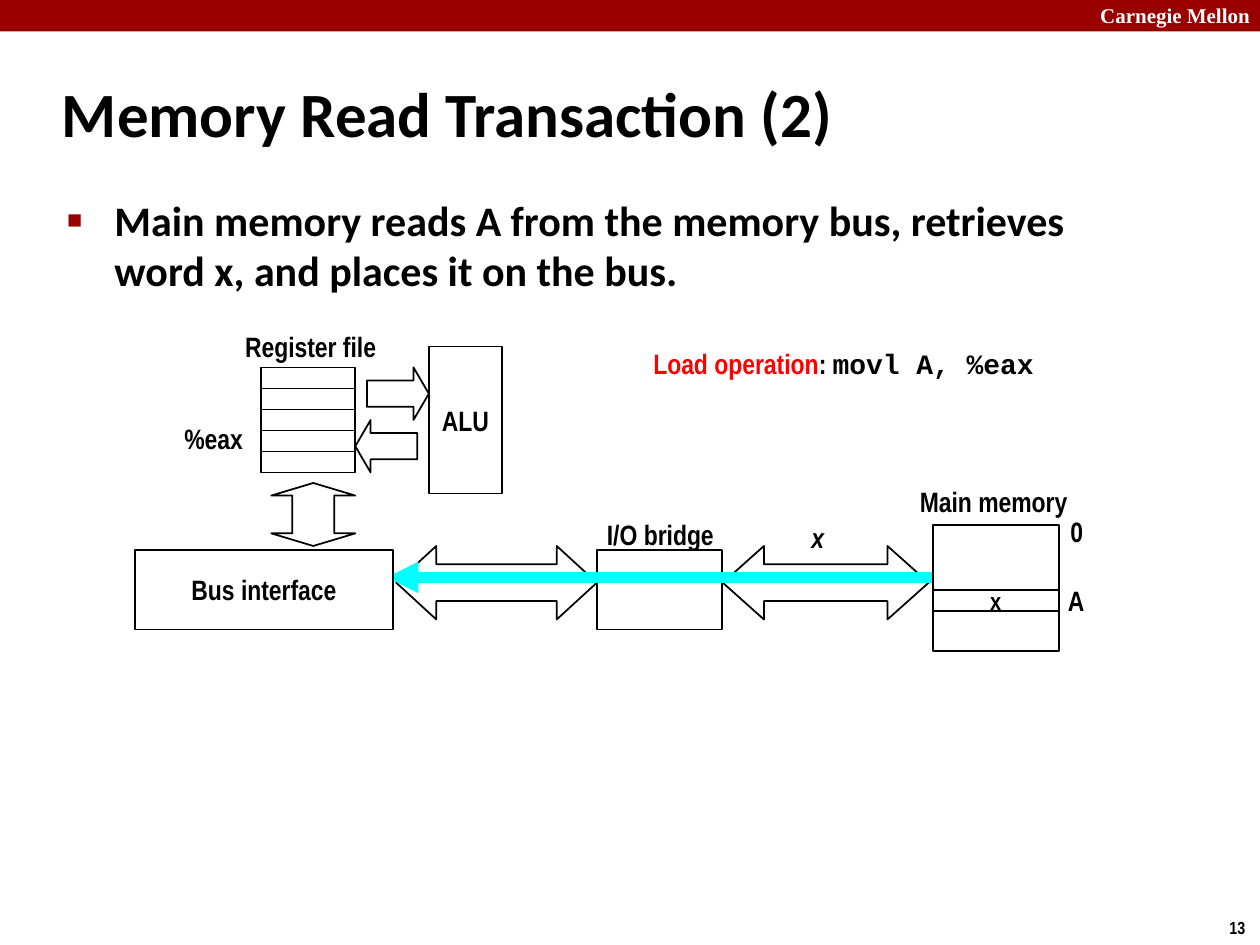
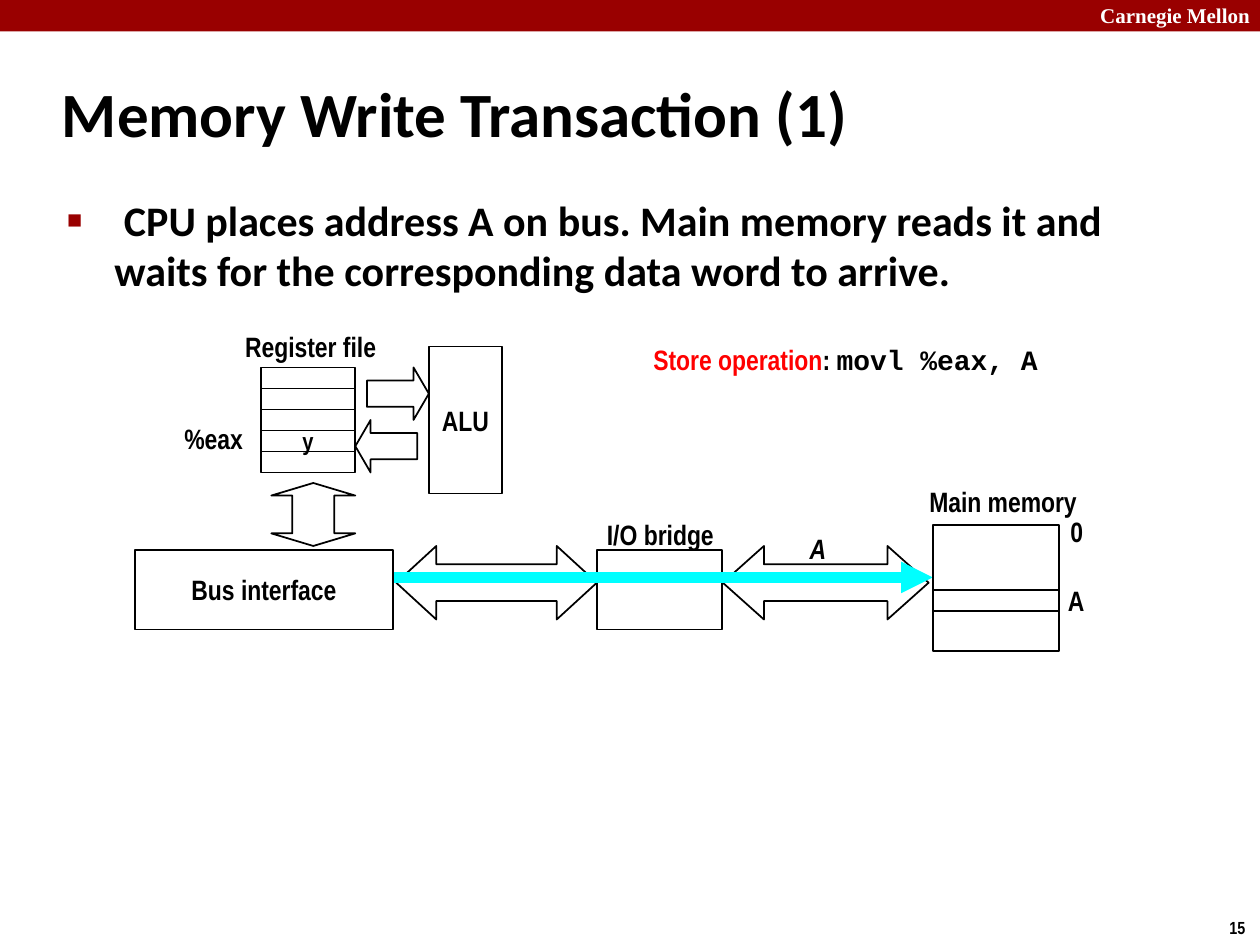
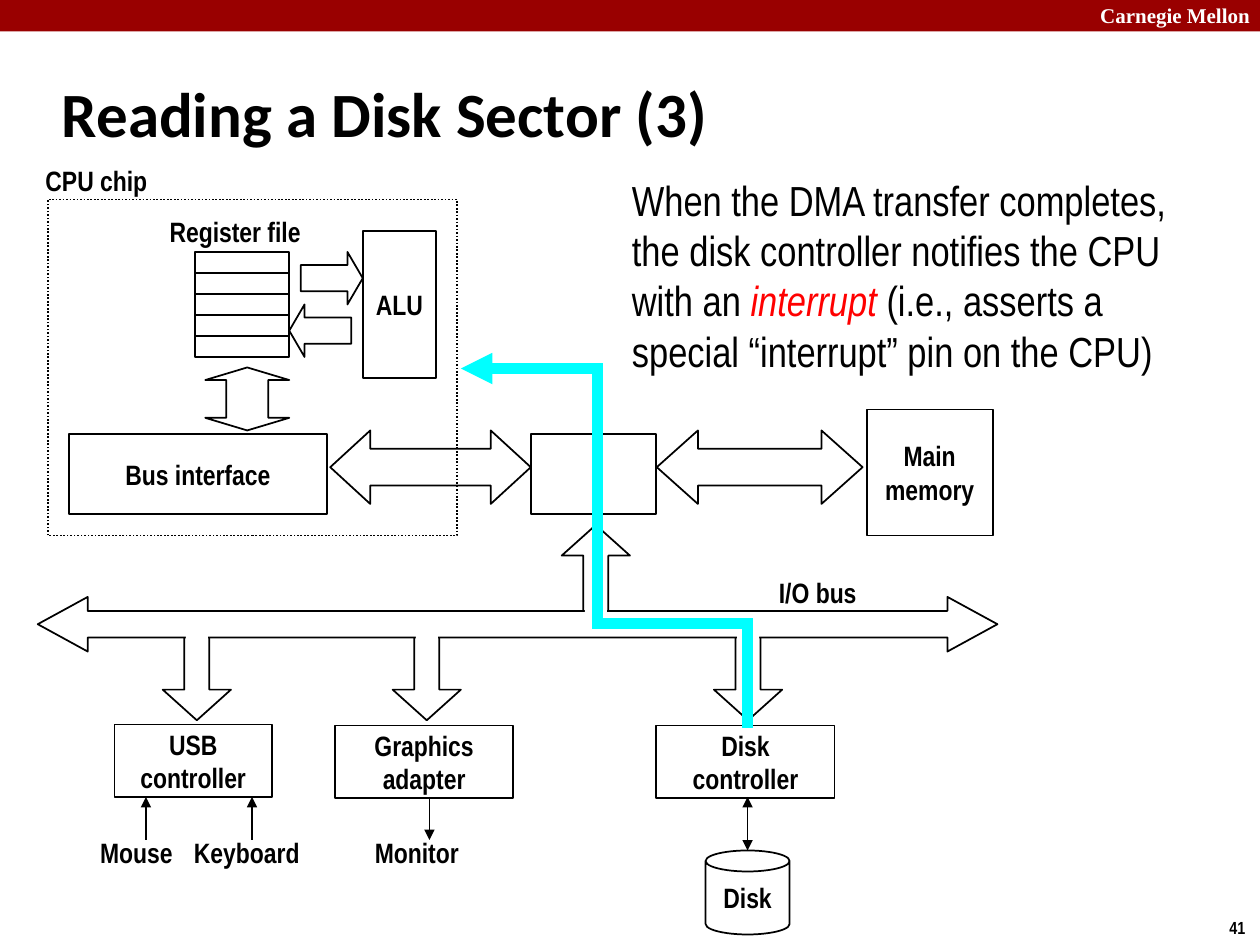
from dataclasses import dataclass
from itertools import pairwise

from lxml.etree import SubElement
from pptx import Presentation
from pptx.dml.color import RGBColor
from pptx.enum.dml import MSO_LINE
from pptx.enum.shapes import MSO_CONNECTOR, MSO_SHAPE as SHAPE
from pptx.enum.text import MSO_ANCHOR as ANCHOR, MSO_AUTO_SIZE, PP_ALIGN as ALIGN
from pptx.oxml.ns import qn
from pptx.util import Inches, Pt

COLS, ROWS = 120, 90
WIDTH, HEIGHT = Inches(10), Inches(7.5)
BLACK, WHITE, MAROON, RED, CYAN = "000000", "FFFFFF", "990000", "FF0000", "00FFFF"
NARROW, HEADING, CODE, SERIF = "Arial Narrow", "Calibri", "Courier New", "Times New Roman"
LABEL_H = 4.4


@dataclass
class Box:
    """A rectangle measured in columns and rows of the slide grid."""
    col: float
    row: float
    w: float
    h: float

    def inside(self, col, row, w, h):
        """Return a box placed relative to this one."""
        return Box(self.col + col, self.row + row, w, h)

    def point(self, col, row):
        """Return a grid point placed relative to this box."""
        return self.col + col, self.row + row

    def emu(self):
        """Return left, top, width and height in slide units."""
        return x(self.col), y(self.row), x(self.w), y(self.h)


def x(cols):
    """Convert columns to a length."""
    return round(cols * WIDTH / COLS)


def y(rows):
    """Convert rows to a length."""
    return round(rows * HEIGHT / ROWS)


def rgb(value):
    """Turn a hex string into a colour."""
    return RGBColor.from_string(value)


def style(r, size=16, font=NARROW, color=BLACK, bold=True, italic=False):
    """Format one run."""
    r.font.size, r.font.name = Pt(size), font
    r.font.bold, r.font.italic = bold, italic
    r.font.color.rgb = rgb(color)


def write(tf, text, align=ALIGN.CENTER, anchor=ANCHOR.MIDDLE, wrap=False, **look):
    """Fill a text frame with one look."""
    tf.text = text
    tf.word_wrap, tf.vertical_anchor = wrap, anchor
    for p in tf.paragraphs:
        p.alignment = align
        for r in p.runs:
            style(r, **look)


def write_runs(tf, runs, wrap=False, **look):
    """Fill the first paragraph with runs that vary a shared look."""
    tf.word_wrap, tf.vertical_anchor = wrap, ANCHOR.TOP
    for text, change in runs:
        r = tf.paragraphs[0].add_run()
        r.text = text
        style(r, **{**look, **change})


def put(s, box, kind=SHAPE.RECTANGLE, text="", adj=(), fill=None, line=BLACK, size=16):
    """Add a preset shape."""
    sp = s.shapes.add_shape(kind, *box.emu())
    sp.shadow.inherit = False
    for i, value in enumerate(adj):
        sp.adjustments[i] = value
    if fill:
        sp.fill.solid()
        sp.fill.fore_color.rgb = rgb(fill)
    else:
        sp.fill.background()
    if line:
        sp.line.color.rgb, sp.line.width = rgb(line), Pt(1)
    else:
        sp.line.fill.background()
    if text:
        write(sp.text_frame, text, size=size)
    return sp


def put_up_down_arrow(s, box, shaft, head):
    """Add a vertical two-way arrow with exactly two adjustment guides."""
    sp = put(s, box, SHAPE.UP_DOWN_ARROW)
    guides = sp.element.spPr.find(qn("a:prstGeom")).find(qn("a:avLst"))
    for guide in list(guides):
        guides.remove(guide)
    for name, value in (("adj1", shaft), ("adj2", head)):
        SubElement(guides, qn("a:gd"), name=name, fmla=f"val {round(value * 100000)}")


def label(s, box, text, **look):
    """Add a text box."""
    sp = s.shapes.add_textbox(*box.emu())
    write(sp.text_frame, text, **look)
    return sp


def link(s, start, end, color=BLACK, width=1, head=False, tail=True, cap="flat"):
    """Draw a straight line with optional arrowheads."""
    line = s.shapes.add_connector(
        MSO_CONNECTOR.STRAIGHT, x(start[0]), y(start[1]), x(end[0]), y(end[1]))
    line.line.color.rgb, line.line.width = rgb(color), Pt(width)
    ln = line.line._get_or_add_ln()
    ln.set("cap", cap)
    for tag, shown in (("a:headEnd", head), ("a:tailEnd", tail)):
        if shown:
            SubElement(ln, qn(tag), type="triangle")
    SubElement(line.element.spPr, qn("a:effectLst"))


def signal(s, points):
    """Draw a thick cyan path that ends in an arrowhead."""
    legs = list(pairwise(points))
    for i, (start, end) in enumerate(legs):
        link(s, start, end, CYAN, 6, tail=i == len(legs) - 1,
             cap="sq" if len(legs) > 1 else "flat")


def brand_master(prs, s):
    """Move the top band and its caption to the slide master."""
    band = put(s, Box(0, 0, COLS, 3), fill=MAROON, line=None)
    caption = label(s, Box(103.6, -0.3, 17.2, 3.6), "Carnegie Mellon", align=ALIGN.LEFT,
                    anchor=ANCHOR.TOP, wrap=True, size=12, font=SERIF, color=WHITE)
    for i, sp in enumerate((band, caption)):
        sp.element.nvSpPr.cNvPr.set("id", str(100 + i))
        prs.slide_master.shapes.element.append(sp.element)


def place(sp, box):
    """Move a placeholder to a box and keep its text size fixed."""
    sp.left, sp.top, sp.width, sp.height = box.emu()
    sp.text_frame.auto_size = MSO_AUTO_SIZE.NONE


def new_slide(prs, layout, title, number):
    """Add a slide with its title and page number."""
    s = prs.slides.add_slide(prs.slide_layouts[layout])
    place(s.shapes.title, Box(4.7, 5.7, 99.6, 10))
    write(s.shapes.title.text_frame, title, align=ALIGN.LEFT, wrap=True, size=36, font=HEADING)
    label(s, Box(115.8, 86.7, 4.1, 3.2), number, anchor=ANCHOR.TOP, size=10)
    return s


def bullet(s, text):
    """Write the single bulleted statement in the body placeholder."""
    body = s.placeholders[1]
    place(body, Box(5.2, 17.9, 103.7, 65.3))
    write(body.text_frame, text, align=ALIGN.LEFT, anchor=ANCHOR.TOP, wrap=True,
          size=24, font=HEADING)
    p = body.text_frame.paragraphs[0]
    p.space_before = Pt(0)
    pPr = p._p.get_or_add_pPr()
    pPr.set("marL", str(x(4.5)))
    pPr.set("indent", str(-x(4.5)))
    SubElement(SubElement(pPr, qn("a:buClr")), qn("a:srgbClr"), val=MAROON)
    SubElement(pPr, qn("a:buSzPct"), val="60000")
    SubElement(pPr, qn("a:buChar"), char="■")


def datapath(s, cpu, caption_col, eax=""):
    """Draw the buses, bridge, registers and ALU."""
    put(s, cpu.inside(56, 19, 19.6, 7), SHAPE.LEFT_RIGHT_ARROW, adj=(0.5, 0.56))
    put(s, cpu.inside(44, 19.35, 11.9, 7.6))
    put(s, cpu.inside(24.9, 19, 19.1, 7), SHAPE.LEFT_RIGHT_ARROW, adj=(0.5, 0.545))
    for i, value in enumerate(("", "", "", eax, "")):
        put(s, cpu.inside(12, 2 + 2 * i, 9, 2), text=value, size=14)
    put(s, cpu.inside(22.1, 2, 5.9, 5), SHAPE.RIGHT_ARROW, adj=(0.5, 0.292))
    put(s, cpu.inside(21, 7, 5.9, 5), SHAPE.LEFT_ARROW, adj=(0.5, 0.292))
    put(s, cpu.inside(28, 0, 7, 14), text="ALU")
    label(s, cpu.inside(caption_col, -2.2, 15.1, LABEL_H), "Register file")
    put_up_down_arrow(s, cpu.inside(13, 13, 8, 6), shaft=0.5, head=0.2)


def bus_interface(s, cpu):
    """Draw the bus interface block."""
    put(s, cpu.inside(0, 19.35, 24.6, 7.6), text="Bus interface", fill=WHITE)


def memory_box(cpu):
    """Return the place of main memory beside the CPU."""
    return cpu.inside(76, 17, 12, 12)


def memory(s, box, caption_col, word=""):
    """Draw main memory with the addressed word."""
    put(s, box)
    put(s, box.inside(0, 6.2, 12, 2), text=word, size=14)
    label(s, box.inside(caption_col, -4.5, 17, LABEL_H), "Main memory")
    label(s, box.inside(11.8, -1.6, 3.8, LABEL_H), "0")
    label(s, box.inside(11.5, 5, 4.3, LABEL_H), "A")


def transaction_slide(s, statement, operation, code, sent, sent_row, code_row,
                      memory_caption, reading, eax="", word=""):
    """Draw one memory transaction across the bus."""
    cpu = Box(12.84, 33, 88, 29)
    bullet(s, statement)
    datapath(s, cpu, 9.2, eax)
    ends = [cpu.point(24, 22), cpu.point(76, 22)]
    signal(s, ends[::-1] if reading else ends)
    bus_interface(s, cpu)
    label(s, cpu.inside(62.9, sent_row, 4.3, LABEL_H), sent, italic=True)
    memory(s, memory_box(cpu), memory_caption, word)
    label(s, cpu.inside(3.5, 6.5, 8, LABEL_H), "%eax")
    label(s, cpu.inside(43.7, 15.7, 12.7, LABEL_H), "I/O bridge")
    sp = s.shapes.add_textbox(*cpu.inside(48.2, code_row, 39.3, 7.7).emu())
    write_runs(sp.text_frame, [(operation, {"color": RED}), (": ", {}), (code, {"font": CODE})])


def io_bus(s, box):
    """Draw the I/O bus with its branches."""
    shaft = (0.367, 0.449)
    branches = (11.9, 33.8, 64.4)
    put(s, box.inside(49.9, 0, 6.5, 9), SHAPE.UP_ARROW, adj=shaft)
    for col in branches:
        put(s, box.inside(col, 9.6, 6.5, 9), SHAPE.DOWN_ARROW, adj=shaft)
    put(s, box.inside(0, 6.85, 91.4, 5.2), SHAPE.LEFT_RIGHT_ARROW, adj=(0.486, 0.915), fill=WHITE)
    for col, row in [(49.9, 7.9)] + [(col, 8.9) for col in branches]:
        put(s, box.inside(col + 2.2, row, 2.1, 2), fill=WHITE, line=None)
    label(s, box.inside(69.4, 4.2, 11.5, LABEL_H), "I/O bus", align=ALIGN.LEFT)


def devices(s, box):
    """Draw the controllers and the devices attached to them."""
    for text, col, row, w in (("USB\ncontroller", 7.3, 19, 15),
                              ("Graphics\nadapter", 28.3, 19.1, 17),
                              ("Disk\ncontroller", 58.9, 19.1, 17)):
        put(s, box.inside(col, row, w, 6.9), text=text)
    for text, col, w, arrow, start, end in (("Mouse", 4.7, 9.4, 10.3, 30, 25.9),
                                            ("Keyboard", 13.6, 12.6, 20.4, 30, 25.9),
                                            ("Monitor", 30.8, 10.6, 37.3, 25.9, 30)):
        link(s, box.point(arrow, start), box.point(arrow, end))
        label(s, box.inside(col, 29, w, LABEL_H), text)
    link(s, box.point(67.6, 25.9), box.point(67.6, 31), head=True)
    put(s, box.inside(63.6, 31, 8, 8), SHAPE.CAN, text="Disk", adj=(0.25,))


def chip_outline(s, cpu):
    """Draw the dotted outline of the CPU chip."""
    sp = put(s, cpu.inside(-2, -3, 39, 32))
    sp.line.dash_style = MSO_LINE.ROUND_DOT
    label(s, cpu.inside(-3.4, -7, 14.3, LABEL_H), "CPU chip", align=ALIGN.LEFT)


def disk_slide(s):
    """Draw the interrupt that follows a disk transfer."""
    cpu, io = Box(6.55, 22, 88, 29), Box(3.6, 50, 91.4, 39)
    put(s, memory_box(cpu), text="Main\nmemory")
    datapath(s, cpu, 8.3)
    chip_outline(s, cpu)
    devices(s, io)
    io_bus(s, io)
    route = ((67.6, 18.8), (67.6, 9.4), (53.3, 9.4), (53.3, -14.9), (40.3, -14.9))
    signal(s, [io.point(*corner) for corner in route])
    bus_interface(s, cpu)
    sp = s.shapes.add_textbox(*Box(59, 16, 57, 20.6).emu())
    write_runs(sp.text_frame, [
        ("When the DMA transfer completes, the disk controller notifies the CPU with an ", {}),
        ("interrupt", {"color": RED, "italic": True}),
        (" (i.e., asserts a special “interrupt” pin on the CPU)", {}),
    ], wrap=True, size=24, bold=False)


def main():
    """Build the deck."""
    prs = Presentation()
    prs.slide_width, prs.slide_height = WIDTH, HEIGHT
    s = new_slide(prs, 1, "Memory Read Transaction (2)", "13")
    brand_master(prs, s)
    transaction_slide(
        s, "Main memory reads A from the memory bus, retrieves word x, and places it on the bus.",
        "Load operation", "movl A, %eax", sent="x", sent_row=16, code_row=-0.6,
        memory_caption=-2.7, reading=True, word="x")
    s = new_slide(prs, 1, "Memory Write Transaction (1)", "15")
    transaction_slide(
        s, " CPU places address A on bus. Main memory reads it and waits for the "
        "corresponding data word to arrive.",
        "Store operation", "movl %eax, A", sent="A", sent_row=17, code_row=-1,
        memory_caption=-1.8, reading=False, eax="y")
    disk_slide(new_slide(prs, 5, "Reading a Disk Sector (3)", "41"))
    prs.save("out.pptx")


if __name__ == "__main__":
    main()
